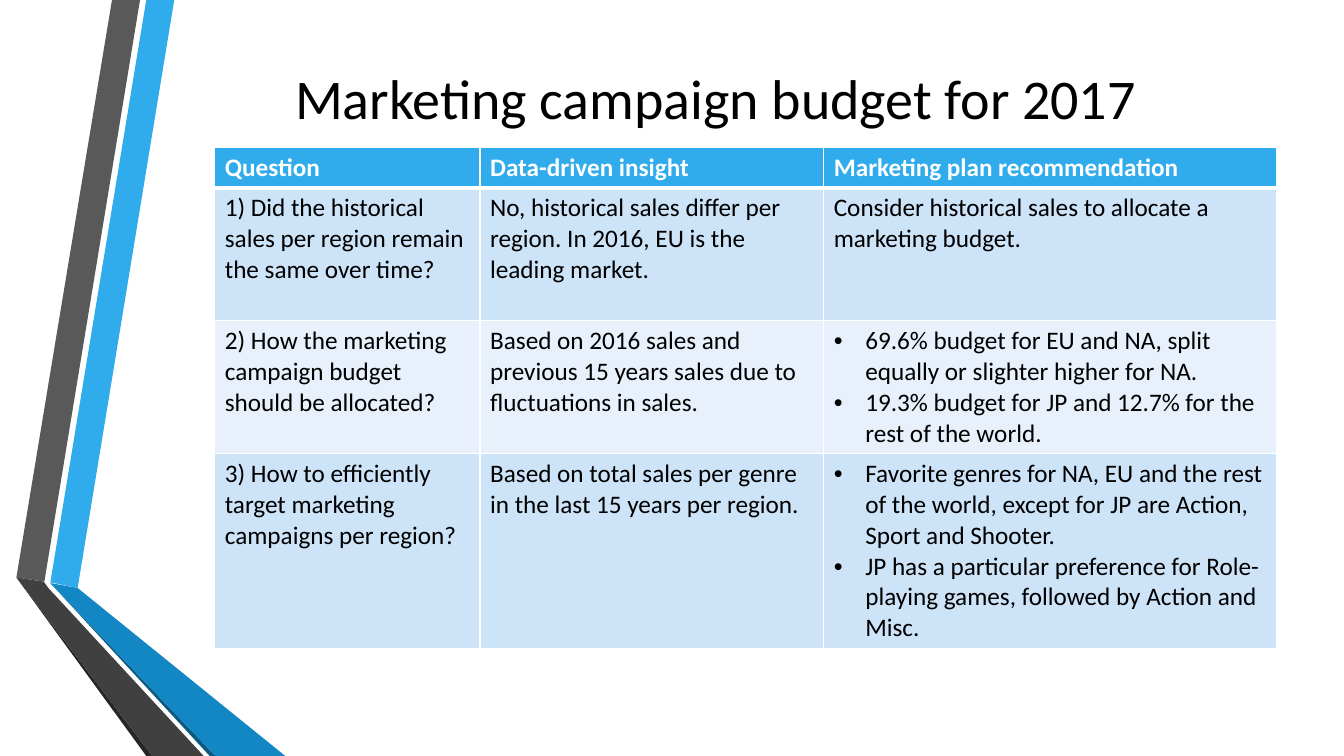
from lxml import etree
from pptx import Presentation
from pptx.dml.color import RGBColor
from pptx.enum.text import MSO_ANCHOR, PP_ALIGN
from pptx.oxml.ns import qn
from pptx.util import Pt

CENTER = PP_ALIGN.CENTER
MIDDLE = MSO_ANCHOR.MIDDLE
FONT = "Calibri"
BLACK, WHITE, ACCENT = "000000", "FFFFFF", "30ACEC"
BAND_FILLS = ("CDE3F8", "E8F1FB")
BULLET_INDENT = Pt(22.5)

RIBBONS = [
    (ACCENT, [(36, 416), (55.5, 420), (124.5, 0), (104.5, 0)]),
    ("595959", [(100, 0), (80, 0), (11.7, 412.5), (31.7, 415.5)]),
    ("262626", [(11.7, 412.5), (104.5, 540), (108.7, 540)]),
    ("0C5A82", [(36, 416.5), (149.8, 540), (154, 540)]),
    ("1287C3", [(36, 416.5), (154, 540), (203.8, 540), (55.5, 420)]),
    ("404040", [(145.5, 540), (34.5, 420), (31.3, 415.5), (11.7, 412.5), (108.7, 540)]),
]

COLUMN_WIDTHS = (189.5, 245.5, 323.5)
ROW_HEIGHTS = (29.2, 95, 95, 139.3)
TABLE_ROWS = [
    ["Question", "Data-driven insight", "Marketing plan recommendation"],
    [
        "1) Did the historical sales per region remain the same over time?",
        "No, historical sales differ per region. In 2016, EU is the leading market.",
        "Consider historical sales to allocate a marketing budget.",
    ],
    [
        "2) How the marketing campaign budget should be allocated?",
        "Based on 2016 sales and previous 15 years sales due to fluctuations in sales.",
        [
            "69.6% budget for EU and NA, split equally or slighter higher for NA.",
            "19.3% budget for JP and 12.7% for the rest of the world.",
        ],
    ],
    [
        "3) How to efficiently target marketing campaigns per region?",
        "Based on total sales per genre in the last 15 years per region.",
        [
            "Favorite genres for NA, EU and the rest of the world, except for JP are "
            "Action, Sport and Shooter.",
            "JP has a particular preference for Role-playing games, followed by Action "
            "and Misc.",
        ],
    ],
]


def color(value):
    return RGBColor.from_string(value)


def paint(target, value):
    target.fill.solid()
    target.fill.fore_color.rgb = color(value)


def style_text(para, size, value, bold=False):
    para.font.name = FONT
    para.font.size = Pt(size)
    para.font.bold = bold
    para.font.color.rgb = color(value)


def add_ribbon(slide, fill, points):
    corners = [(Pt(x), Pt(y)) for x, y in points]
    builder = slide.shapes.build_freeform(*corners[0])
    builder.add_line_segments(corners[1:], close=True)
    shape = builder.convert_to_shape()
    shape.shadow.inherit = False
    paint(shape, fill)
    shape.line.fill.background()


def add_title(slide, text):
    box = slide.shapes.add_textbox(Pt(116.6), Pt(0), Pt(789), Pt(138.2))
    frame = box.text_frame
    frame.word_wrap = True
    frame.vertical_anchor = MIDDLE
    para = frame.paragraphs[0]
    para.text = text
    para.alignment = CENTER
    style_text(para, 40, BLACK)


def add_bullet(para):
    properties = para._p.get_or_add_pPr()
    properties.set("marL", str(BULLET_INDENT))
    properties.set("indent", str(-BULLET_INDENT))
    etree.SubElement(properties, qn("a:buFont")).set("typeface", "Arial")
    etree.SubElement(properties, qn("a:buChar")).set("char", "•")


def set_borders(cell, widths):
    properties = cell._tc.get_or_add_tcPr()
    for side, width in widths.items():
        line = etree.SubElement(properties, qn(f"a:ln{side}"), w=str(Pt(width)))
        fill = etree.SubElement(line, qn("a:solidFill"))
        etree.SubElement(fill, qn("a:srgbClr"), val=WHITE)


def fill_cell(cell, content, row_index):
    header = row_index == 0
    bulleted = isinstance(content, list)
    top = 3 if row_index == 1 else 1
    set_borders(cell, {"L": 1, "R": 1, "T": top, "B": 3 if header else 1})
    paint(cell, ACCENT if header else BAND_FILLS[(row_index - 1) % 2])
    cell.text = "\n".join(content) if bulleted else content
    for para in cell.text_frame.paragraphs:
        if bulleted:
            add_bullet(para)
        style_text(para, 18, WHITE if header else BLACK, header)


def add_budget_table(slide):
    frame = slide.shapes.add_table(
        len(TABLE_ROWS), len(COLUMN_WIDTHS), Pt(153.4), Pt(105),
        Pt(sum(COLUMN_WIDTHS)), Pt(sum(ROW_HEIGHTS)),
    )
    table = frame.table
    for column, width in zip(table.columns, COLUMN_WIDTHS):
        column.width = Pt(width)
    for row_index, (row, height) in enumerate(zip(table.rows, ROW_HEIGHTS)):
        row.height = Pt(height)
        for cell, content in zip(row.cells, TABLE_ROWS[row_index]):
            fill_cell(cell, content, row_index)


def main():
    deck = Presentation()
    deck.slide_width, deck.slide_height = Pt(960), Pt(540)
    slide = deck.slides.add_slide(deck.slide_layouts[6])
    for fill, points in RIBBONS:
        add_ribbon(slide, fill, points)
    add_title(slide, "Marketing campaign budget for 2017")
    add_budget_table(slide)
    deck.save("out.pptx")


if __name__ == "__main__":
    main()
